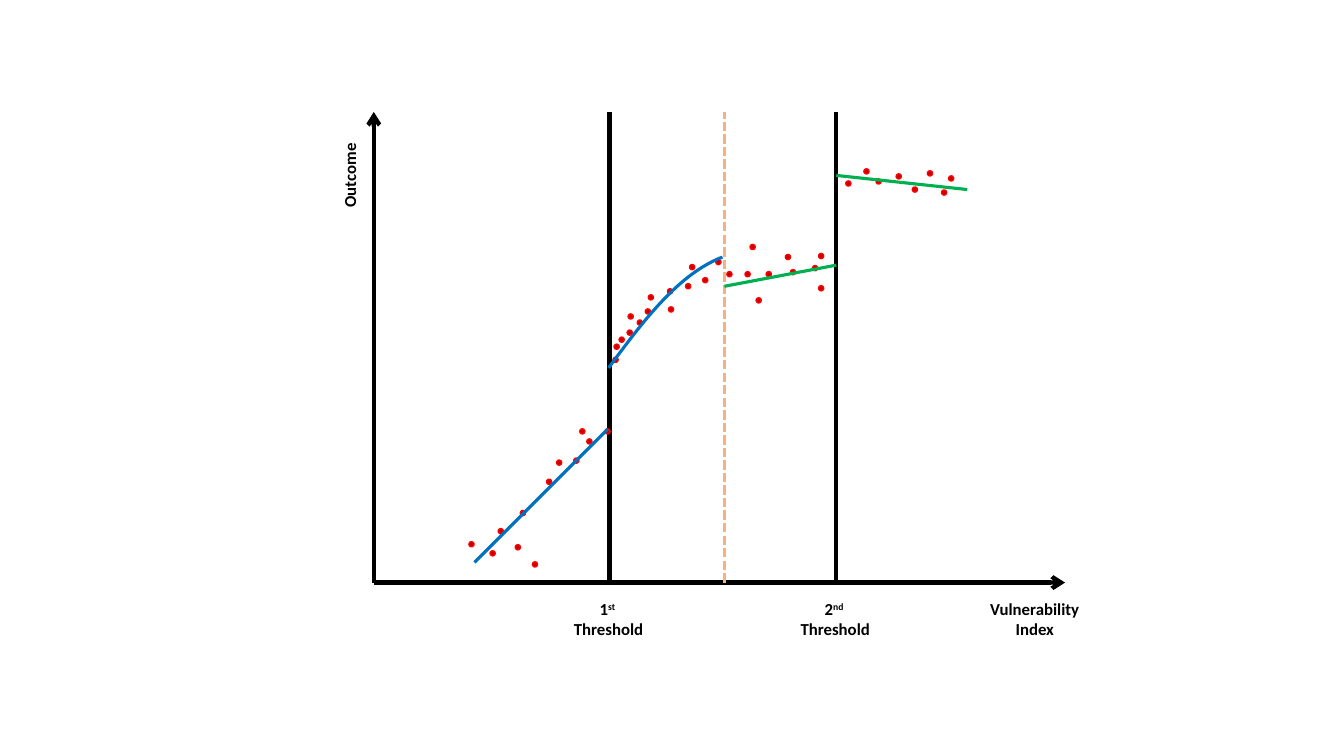
from dataclasses import dataclass
from lxml.etree import SubElement
from pptx import Presentation
from pptx.dml.color import RGBColor as Rgb
from pptx.enum.dml import MSO_LINE as Dash
from pptx.enum.shapes import MSO_CONNECTOR as Link, MSO_SHAPE as Form
from pptx.enum.text import MSO_AUTO_SIZE as Fit, PP_ALIGN as Align
from pptx.oxml.ns import qn
from pptx.util import Cm, Pt


@dataclass(frozen=True)
class Theme:
    font: str = "Calibri"
    size: float = 12
    ink: str = "000000"
    blue: str = "0070C0"
    green: str = "00B050"
    split: str = "F4B183"
    dot: str = "C00000"
    rim: str = "FF0000"
    axis: float = 3
    trend: float = 2.25
    edge: float = 1


@dataclass(frozen=True)
class Box:
    left: float
    top: float
    width: float
    height: float
    span: float

    def spot(self, x, y):
        unit = self.width / self.span
        return self.left + x * unit, self.top + self.height - y * unit


THEME = Theme()
FIRST, MID, SECOND = 2.34, 3.48, 4.59
PEAK, END = 4.67, 6.86
DOTS = [
    (0.97, 0.38), (1.18, 0.29), (1.26, 0.51), (1.43, 0.35), (1.48, 0.69),
    (1.60, 0.18), (1.74, 1.00), (1.84, 1.19), (2.01, 1.21), (2.07, 1.50),
    (2.14, 1.40), (2.32, 1.50), (2.40, 2.21), (2.41, 2.34), (2.46, 2.41),
    (2.54, 2.48), (2.55, 2.64), (2.64, 2.58), (2.72, 2.69), (2.75, 2.83),
    (2.94, 2.89), (2.95, 2.71), (3.12, 2.94), (3.16, 3.13), (3.29, 3.00),
    (3.42, 3.18), (3.53, 3.06), (3.71, 3.06), (3.76, 3.33), (3.82, 2.80),
    (3.92, 3.06), (4.11, 3.23), (4.16, 3.08), (4.38, 3.12), (4.44, 3.24),
    (4.44, 2.92), (4.71, 3.96), (4.89, 4.08), (5.01, 3.98), (5.21, 4.03),
    (5.37, 3.90), (5.52, 4.06), (5.66, 3.87), (5.73, 4.01),
]
CURVE = [(2.33, 2.13), (2.67, 2.59), (3.02, 3.06), (3.46, 3.23)]
TRENDS = [
    ((1.00, 0.20), (2.32, 1.52), THEME.blue),
    ((MID, 2.94), (SECOND, 3.15), THEME.green),
    ((SECOND, 4.04), (5.89, 3.90), THEME.green),
]
LABELS = [
    (2.33, [[("1", False), ("st ", True)], [("Threshold", False)]]),
    (4.58, [[("2", False), ("nd ", True)], [("Threshold", False)]]),
    (6.56, [[("Vulnerability Index", False)]]),
]


def stroke(line, tint, width):
    line.color.rgb = Rgb.from_string(tint)
    line.width = Pt(width)


def add_line(slide, box, start, end, tint, width, arrow=False, dash=None):
    ends = [Cm(n) for n in (*box.spot(*start), *box.spot(*end))]
    link = slide.shapes.add_connector(Link.STRAIGHT, *ends)
    stroke(link.line, tint, width)
    if dash:
        link.line.dash_style = dash
    if arrow:
        SubElement(link.line._get_or_add_ln(), qn("a:tailEnd"), type="arrow")
    SubElement(link._element.spPr, qn("a:effectLst"))


def add_text(slide, mid, top, width, height, lines, turn=0):
    label = slide.shapes.add_textbox(
        Cm(mid - width / 2), Cm(top), Cm(width), Cm(height))
    label.rotation = turn
    frame = label.text_frame
    frame.word_wrap = True
    frame.auto_size = Fit.SHAPE_TO_FIT_TEXT
    for i, parts in enumerate(lines):
        para = frame.paragraphs[0] if i == 0 else frame.add_paragraph()
        para.alignment = Align.CENTER
        for words, raised in parts:
            run = para.add_run()
            run.text = words
            font = run.font
            font.name, font.size, font.bold = THEME.font, Pt(THEME.size), True
            font.color.rgb = Rgb.from_string(THEME.ink)
            if raised:
                font._element.set("baseline", "30000")


def draw_axes(slide, box):
    for end in ((0, PEAK), (END, 0)):
        add_line(slide, box, (0, 0), end, THEME.ink, THEME.axis, arrow=True)
    for x in (FIRST, SECOND):
        add_line(slide, box, (x, 0), (x, PEAK), THEME.ink, THEME.axis)
    add_line(slide, box, (MID, 0), (MID, PEAK), THEME.split, THEME.trend,
             dash=Dash.SQUARE_DOT)


def draw_dots(slide, box, size=0.13):
    for point in DOTS:
        x, y = box.spot(*point)
        dot = slide.shapes.add_shape(
            Form.OVAL, Cm(x - size / 2), Cm(y - size / 2), Cm(size), Cm(size))
        dot.shadow.inherit = False
        dot.fill.solid()
        dot.fill.fore_color.rgb = Rgb.from_string(THEME.dot)
        stroke(dot.line, THEME.rim, THEME.edge)


def bend(t):
    parts = ((1 - t) ** 3, 3 * t * (1 - t) ** 2, 3 * t * t * (1 - t), t ** 3)
    return [sum(p * n for p, n in zip(parts, axis)) for axis in zip(*CURVE)]


def draw_trends(slide, box, steps=30):
    points = [tuple(Cm(n) for n in box.spot(*bend(i / steps)))
              for i in range(steps + 1)]
    pen = slide.shapes.build_freeform(*points[0])
    pen.add_line_segments(points[1:], close=False)
    curve = pen.convert_to_shape()
    curve.shadow.inherit = False
    curve.fill.background()
    stroke(curve.line, THEME.blue, THEME.trend)
    for start, end, tint in TRENDS:
        add_line(slide, box, start, end, tint, THEME.trend)


def draw_labels(slide, box, width=3.3):
    for x, lines in LABELS:
        mid, top = box.spot(x, -0.11)
        add_text(slide, mid, top, width, 1.28, lines)
    mid, row = box.spot(-0.24, 4.04)
    high = 0.77
    add_text(slide, mid, row - high / 2, width, high,
             [[("Outcome", False)]], turn=270)


def main():
    deck = Presentation()
    deck.slide_width, deck.slide_height = Cm(33.87), Cm(19.05)
    slide = deck.slides.add_slide(deck.slide_layouts[6])
    plot = Box(9.42, 2.82, 17.42, 11.86, END)
    for draw in (draw_axes, draw_dots, draw_labels, draw_trends):
        draw(slide, plot)
    deck.save("out.pptx")


main()
